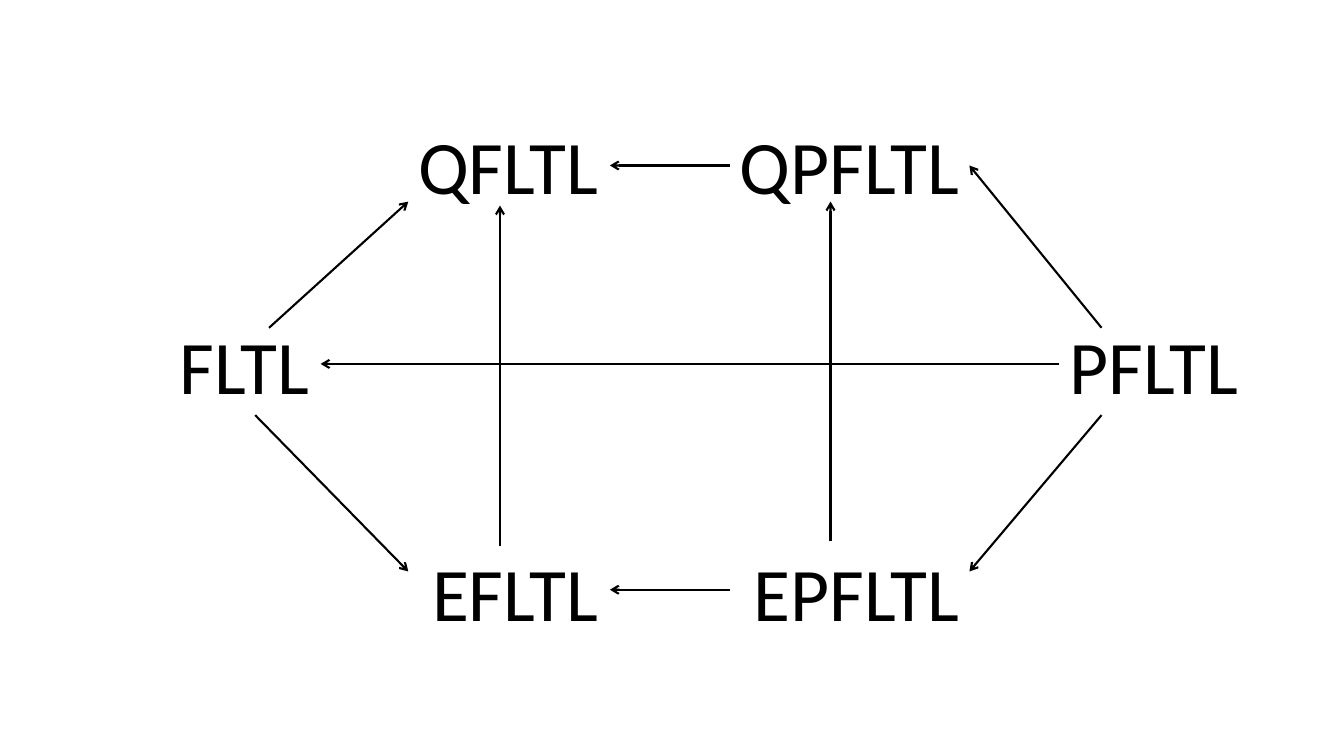
from dataclasses import dataclass

from lxml.etree import SubElement
from pptx import Presentation
from pptx.dml.color import RGBColor
from pptx.enum.shapes import MSO_CONNECTOR
from pptx.enum.text import MSO_AUTO_SIZE
from pptx.oxml.ns import qn
from pptx.util import Cm, Pt


@dataclass(frozen=True)
class Theme:
    ink: RGBColor = RGBColor(0, 0, 0)
    font: str = "Calibri"
    label_size: int = 54
    line_width: float = 1.5


class Diagram:
    """Draws labels and arrows on one page; all lengths are in centimetres."""

    def __init__(self, page, theme):
        self.page = page
        self.theme = theme

    def label(self, text, left, top, width, height):
        box = self.page.shapes.add_textbox(Cm(left), Cm(top), Cm(width), Cm(height))
        frame = box.text_frame
        frame.text = text
        frame.word_wrap = False
        frame.auto_size = MSO_AUTO_SIZE.SHAPE_TO_FIT_TEXT
        font = frame.paragraphs[0].runs[0].font
        font.name = self.theme.font
        font.size = Pt(self.theme.label_size)
        font.color.rgb = self.theme.ink

    def arrow(self, start, end):
        """Draw a straight line with an open arrowhead at its end."""
        connector = self.page.shapes.add_connector(
            MSO_CONNECTOR.STRAIGHT, *map(Cm, start), *map(Cm, end))
        connector.line.color.rgb = self.theme.ink
        connector.line.width = Pt(self.theme.line_width)
        properties = connector.element.spPr
        SubElement(properties.find(qn("a:ln")), qn("a:tailEnd"), type="arrow")
        SubElement(properties, qn("a:effectLst"))


LABEL_HEIGHT = 2.57
TOP_ROW, MIDDLE_ROW, BOTTOM_ROW = 2.87, 7.9, 13.64
LABELS = [  # text, left, top, width
    ("FLTL", 4.27, MIDDLE_ROW, 3.81),
    ("PFLTL", 26.7, MIDDLE_ROW, 4.78),
    ("EPFLTL", 18.75, BOTTOM_ROW, 5.72),
    ("QPFLTL", 18.39, TOP_ROW, 6.07),
    ("EFLTL", 10.64, BOTTOM_ROW, 4.75),
    ("QFLTL", 10.29, TOP_ROW, 5.08),
]

Q_LEFT, Q_RIGHT = 10.29, 15.37
QP_LEFT, QP_RIGHT = 18.39, 24.43
TOP_LINE, MIDDLE_LINE, BOTTOM_LINE = 4.17, 9.17, 14.86
TOP_EDGE, BOTTOM_EDGE = 5.08, 14.4
ABOVE_MIDDLE, BELOW_MIDDLE = 8.26, 10.46
PFLTL_X = 27.76
ARROWS = [  # start, end
    ((12.6, 13.77), (12.6, 5.18)),
    ((20.93, BOTTOM_ROW), (20.93, TOP_EDGE)),
    ((26.7, MIDDLE_LINE), (8.08, MIDDLE_LINE)),
    ((6.78, ABOVE_MIDDLE), (Q_LEFT, TOP_EDGE)),
    ((6.43, BELOW_MIDDLE), (Q_LEFT, BOTTOM_EDGE)),
    ((PFLTL_X, ABOVE_MIDDLE), (QP_RIGHT, TOP_LINE)),
    ((PFLTL_X, BELOW_MIDDLE), (QP_RIGHT, BOTTOM_EDGE)),
    ((QP_LEFT, TOP_LINE), (Q_RIGHT, TOP_LINE)),
    ((QP_LEFT, BOTTOM_LINE), (Q_RIGHT, BOTTOM_LINE)),
]


def main():
    deck = Presentation()
    deck.slide_width, deck.slide_height = Cm(33.87), Cm(19.05)
    diagram = Diagram(deck.slides.add_slide(deck.slide_layouts[6]), Theme())
    for text, left, top, width in LABELS:
        diagram.label(text, left, top, width, LABEL_HEIGHT)
    for start, end in ARROWS:
        diagram.arrow(start, end)
    deck.save("out.pptx")


if __name__ == "__main__":
    main()
